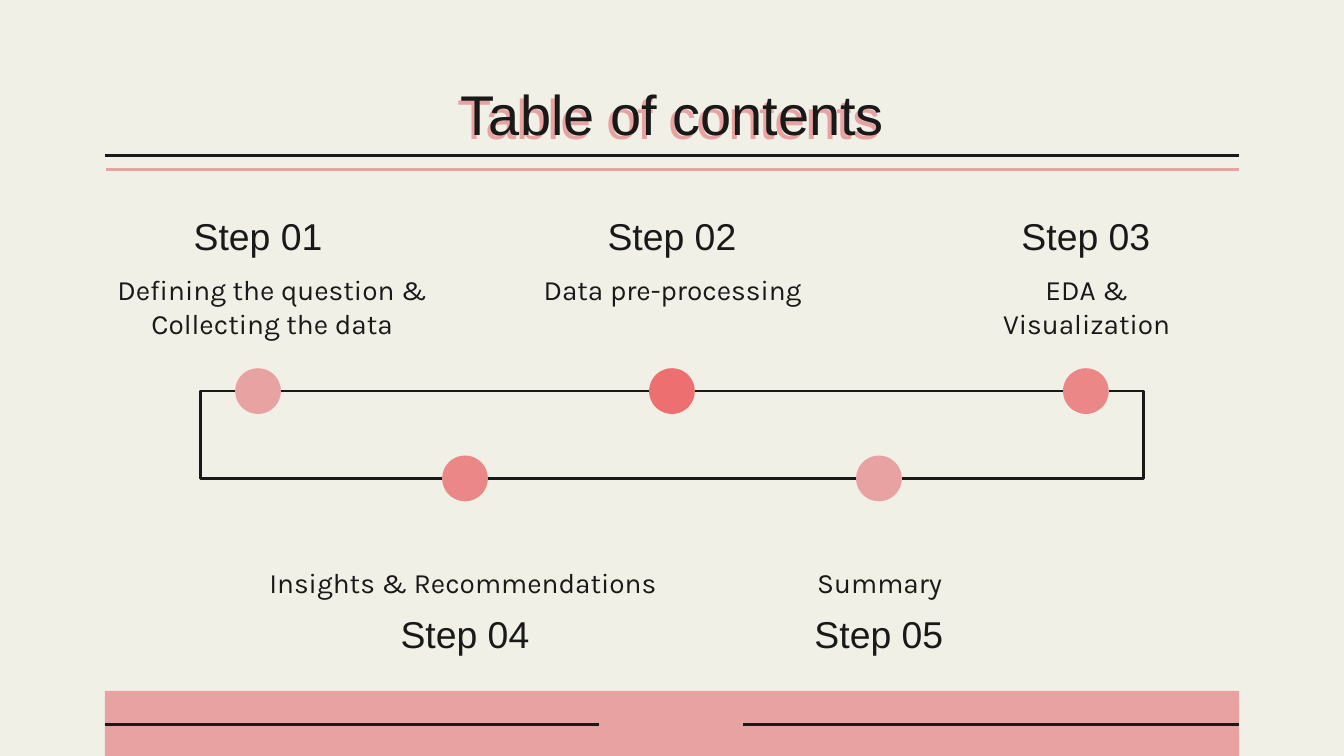
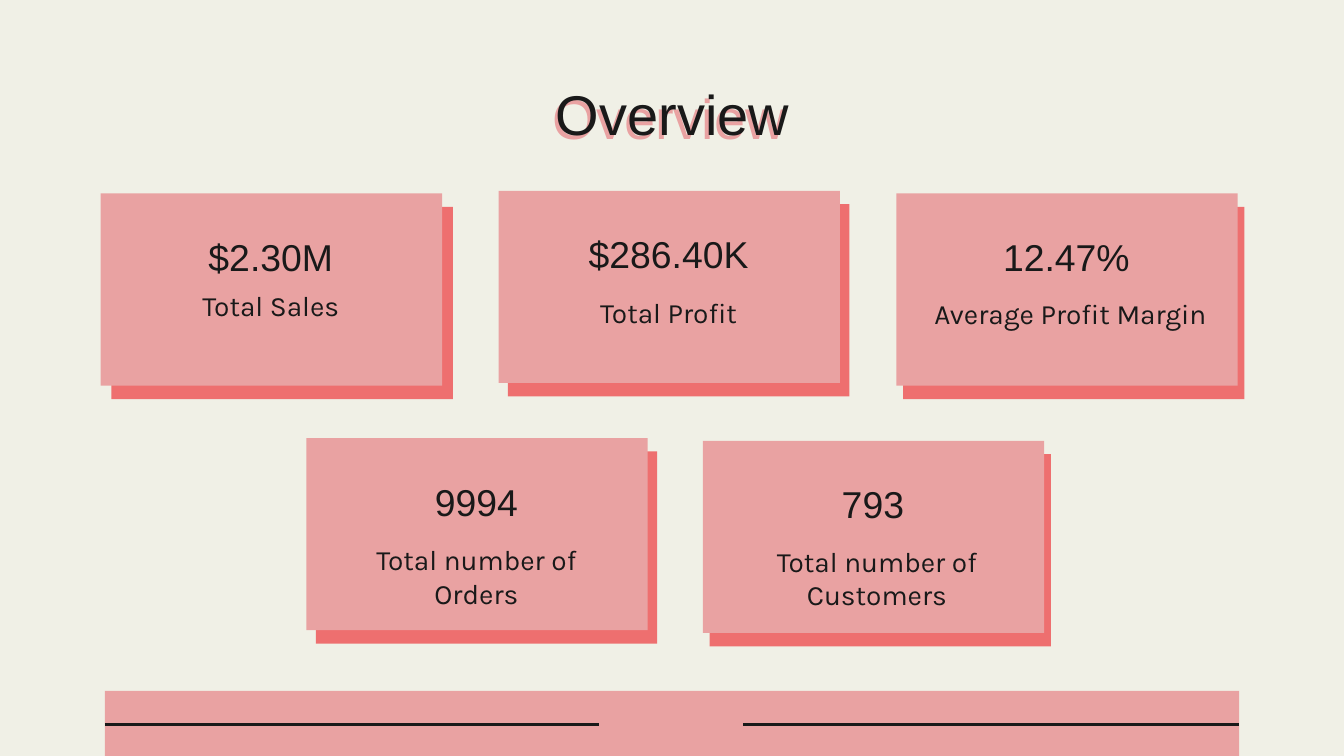
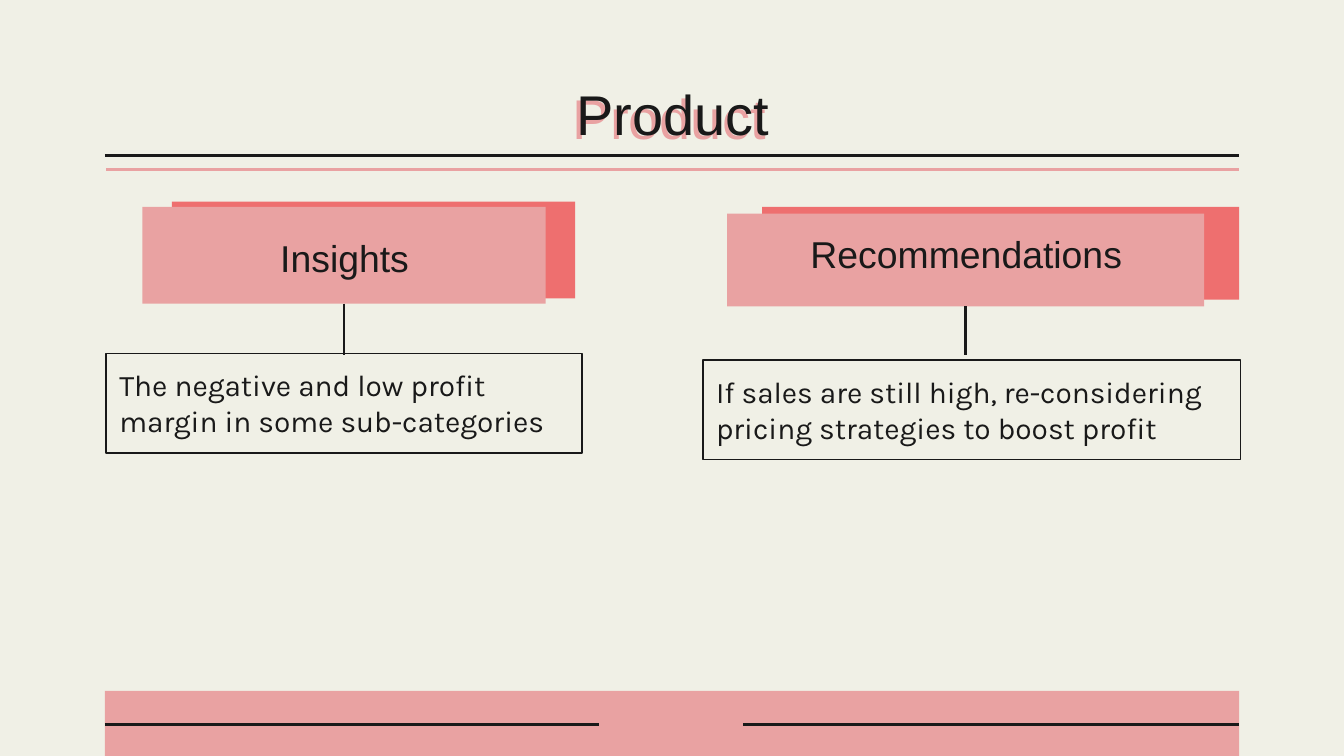
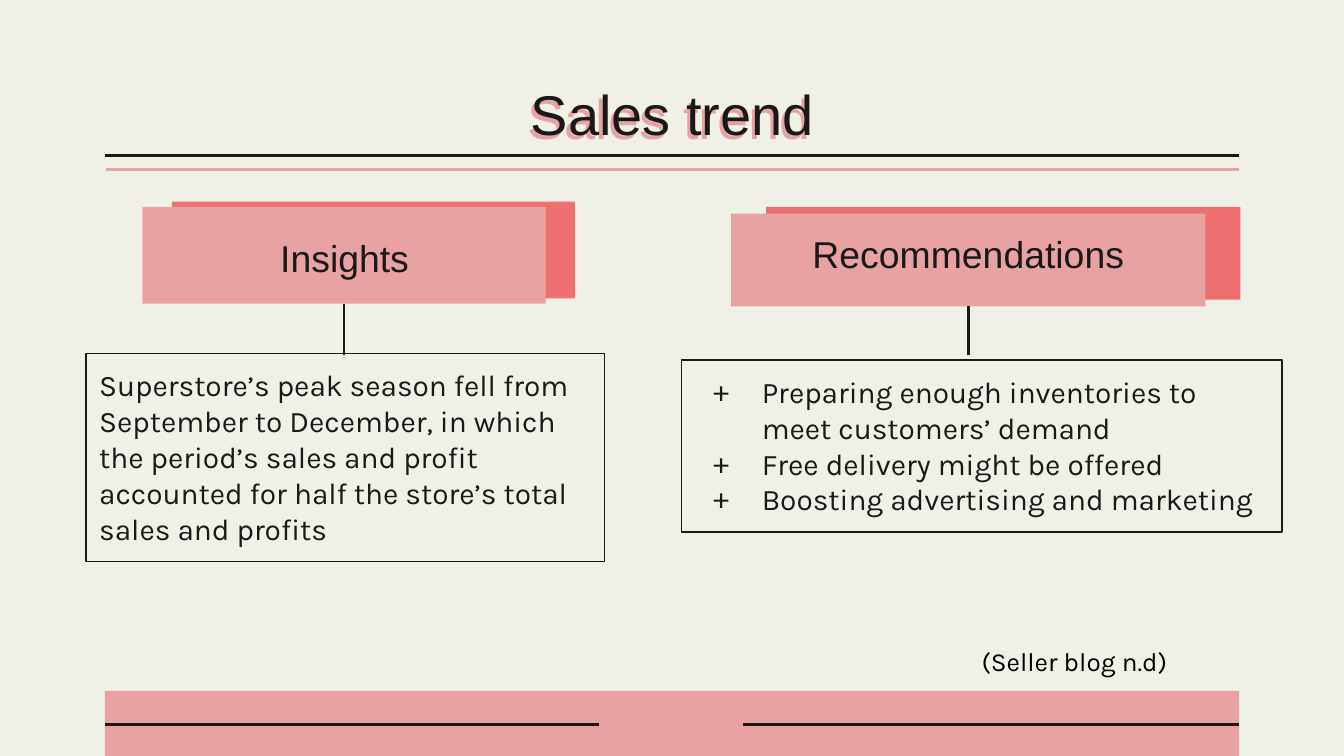
import pptx
import pptx.dml.color
import pptx.enum.shapes
import pptx.enum.text
import pptx.oxml
import pptx.oxml.ns
import pptx.util
import lxml.etree

Inches = pptx.util.Inches
RGBColor = pptx.dml.color.RGBColor
SHAPE = pptx.enum.shapes.MSO_SHAPE
CONNECTOR = pptx.enum.shapes.MSO_CONNECTOR
ALIGN = pptx.enum.text.PP_ALIGN
ANCHOR = pptx.enum.text.MSO_ANCHOR
qn = pptx.oxml.ns.qn

CREAM = RGBColor(0xF0, 0xF0, 0xE6)
INK = RGBColor(0x19, 0x19, 0x19)
BLACK = RGBColor(0, 0, 0)
PINK = RGBColor(0xE9, 0xA2, 0xA2)
CORAL = RGBColor(0xEE, 0x6F, 0x6F)
SALMON = RGBColor(0xEB, 0x87, 0x87)
HEADING_FONT, BODY_FONT = "Arial", "Karla"


def add_text(text, *, slide, at, size=15, font=BODY_FONT, color=INK, align=ALIGN.CENTER,
             anchor=ANCHOR.TOP, outline=None, space_after=0, bullet=None):
    box = slide.shapes.add_textbox(*[Inches(length) for length in at])
    if outline is not None:
        box.line.color.rgb = outline
        box.line.width = pptx.util.Pt(0.75)
    frame = box.text_frame
    frame.word_wrap = True
    frame.vertical_anchor = anchor
    frame.margin_left = frame.margin_right = Inches(0.1)
    frame.margin_top = frame.margin_bottom = Inches(0.1)
    frame.text = text
    for paragraph in frame.paragraphs:
        paragraph.alignment = align
        paragraph.space_after = pptx.util.Pt(space_after)
        paragraph.font.size = pptx.util.Pt(size)
        for run in paragraph.runs:
            run.font.size = pptx.util.Pt(size)
            run.font.name = font
            run.font.color.rgb = color
        if bullet:
            properties = paragraph._p.get_or_add_pPr()
            properties.set("marL", str(Inches(0.5)))
            properties.set("indent", str(Inches(-0.36)))
            mark_color = lxml.etree.SubElement(properties, qn("a:buClr"))
            lxml.etree.SubElement(mark_color, qn("a:srgbClr"), val=str(color))
            lxml.etree.SubElement(properties, qn("a:buFont"), typeface=font)
            lxml.etree.SubElement(properties, qn("a:buChar"), char=bullet)
    return box


def add_block(slide, at, fill, outline=SHAPE.RECTANGLE):
    block = slide.shapes.add_shape(outline, *[Inches(length) for length in at])
    block.shadow.inherit = False
    block.fill.solid()
    block.fill.fore_color.rgb = fill
    block.line.fill.background()


deck = pptx.Presentation()
deck.slide_width, deck.slide_height = Inches(10), Inches(5.625)

# Shared frame: background, footer band and shadowed title
slides = []
lines = []  # slide, x1, y1, x2, y2, colour, elbow bend (None when straight)
for title in ["Table of contents", "Overview", "Product", "Sales trend"]:
    slide = deck.slides.add_slide(deck.slide_layouts[6])
    slides.append(slide)
    slide.background.fill.solid()
    slide.background.fill.fore_color.rgb = CREAM
    add_block(slide, (0.78, 5.14, 8.44, 0.51), PINK)
    lines.append((slide, 0.78, 5.39, 4.46, 5.39, INK, None))
    lines.append((slide, 5.53, 5.39, 9.22, 5.39, INK, None))
    heading = add_text(title, slide=slide, at=(0.79, 0.49, 8.43, 0.63), size=30,
                       font=HEADING_FONT)
    heading.shadow.inherit = False
    effects = heading._element.spPr.find(qn("a:effectLst"))
    shadow = lxml.etree.SubElement(effects, qn("a:outerShdw"), dist="38100", dir="7680000",
                                   algn="bl", rotWithShape="0")
    lxml.etree.SubElement(shadow, qn("a:srgbClr"), val=str(PINK))
contents, overview, product, trend = slides

# Double rule under the title
for slide in (contents, product, trend):
    lines.append((slide, 0.78, 1.16, 9.22, 1.16, INK, None))
    lines.append((slide, 0.79, 1.26, 9.22, 1.26, PINK, None))

# Contents: loop of five steps, three above and two below
DOT, STEP_GAP, LABEL_WIDTH = 0.34, 1.54, 2.19
TOP_Y, BOTTOM_Y = 2.91, 3.56
steps = [  # column, upper row, dot colour, description, its left and width
    (0, True, PINK, "Defining the question & Collecting the data", 0.55, 2.95),
    (2, True, CORAL, "Data pre-processing", 3.91, LABEL_WIDTH),
    (4, True, SALMON, "EDA &\nVisualization", 6.99, LABEL_WIDTH),
    (1, False, SALMON, "Insights & Recommendations", 1.89, 3.11),
    (3, False, PINK, "Summary", 5.45, LABEL_WIDTH),
]
for number, (column, upper, color, description, left, width) in enumerate(steps, 1):
    center = 1.92 + column * STEP_GAP
    dot_y = TOP_Y if upper else BOTTOM_Y
    add_block(contents, (center - DOT / 2, dot_y - DOT / 2, DOT, DOT), color, SHAPE.OVAL)
    add_text(f"Step {number:02}", slide=contents, size=20, font=HEADING_FONT,
             at=(center - LABEL_WIDTH / 2, 1.46 if upper else 4.45, LABEL_WIDTH, 0.58),
             anchor=ANCHOR.MIDDLE if upper else ANCHOR.TOP)
    add_text(description, slide=contents, at=(left, 1.93 if upper else 3.82, width, 0.74),
             anchor=ANCHOR.TOP if upper else ANCHOR.BOTTOM)
lines += [
    (contents, 2.09, TOP_Y, 4.83, TOP_Y, INK, None),
    (contents, 5.17, TOP_Y, 7.91, TOP_Y, INK, None),
    (contents, 8.25, TOP_Y, 6.71, BOTTOM_Y, INK, -16900),
    (contents, 6.37, BOTTOM_Y, 3.63, BOTTOM_Y, INK, None),
    (contents, 3.29, BOTTOM_Y, 1.75, TOP_Y, INK, 116900),
]

# Overview: key figure cards
CARD_WIDTH, CARD_HEIGHT = 2.54, 1.43
cards = [  # left, top, shadow shift, value, label, label shift from the card
    (0.75, 1.44, 0.08, "$2.30M", "Total Sales", 0.09, 0.61),
    (3.71, 1.42, 0.07, "$286.40K", "Total Profit", 0.09, 0.68),
    (6.67, 1.44, 0.05, "12.47%", "Average Profit Margin", 0.12, 0.67),
    (2.28, 3.26, 0.07, "9994", "Total number of Orders", 0.09, 0.68),
    (5.23, 3.28, 0.05, "793", "Total number of Customers", 0.12, 0.67),
]
for left, top, shift, value, label, label_x, label_y in cards:
    add_block(overview, (left + shift, top + 0.1, CARD_WIDTH, CARD_HEIGHT), CORAL)
    add_block(overview, (left, top, CARD_WIDTH, CARD_HEIGHT), PINK)
    add_text(value, slide=overview, at=(left + 0.09, top + 0.19, 2.35, 0.56), size=20,
             font=HEADING_FONT, anchor=ANCHOR.MIDDLE)
    add_text(label, slide=overview, at=(left + label_x, top + label_y, 2.35, 0.67))

# Product and Sales trend: header, stem and boxed finding on each side
findings = [  # slide, header, header place, shadow shift, caption place, finding, its place, bullet
    (product, "Insights", (1.06, 1.54, 3, 0.72), (0.22, -0.04), (1.15, 1.63, 2.83, 0.55),
     "The negative and low profit margin in some sub-categories",
     (0.79, 2.63, 3.54, 0.74), None),
    (product, "Recommendations", (5.41, 1.59, 3.55, 0.69), (0.26, -0.05),
     (5.33, 1.63, 3.72, 0.52),
     "If sales are still high, re-considering pricing strategies to boost profit",
     (5.23, 2.68, 4, 0.74), None),
    (trend, "Insights", (1.06, 1.54, 3, 0.72), (0.22, -0.04), (1.15, 1.63, 2.83, 0.55),
     "Superstore’s peak season fell from September to December, in which the period’s "
     "sales and profit accounted for half the store’s total sales and profits",
     (0.64, 2.63, 3.86, 1.55), None),
    (trend, "Recommendations", (5.44, 1.59, 3.53, 0.69), (0.26, -0.05),
     (5.36, 1.63, 3.69, 0.52),
     "Preparing enough inventories to meet customers’ demand\n"
     "Free delivery might be offered\nBoosting advertising and marketing",
     (5.07, 2.68, 4.47, 1.28), "+"),
]
for slide, header, place, shift, caption_at, finding, finding_at, bullet in findings:
    left, top, width, height = place
    add_block(slide, (left + shift[0], top + shift[1], width, height), CORAL)
    add_block(slide, place, PINK)
    add_text(header, slide=slide, at=caption_at, size=20, font=HEADING_FONT,
             anchor=ANCHOR.BOTTOM)
    stem_x = left + width / 2
    lines.append((slide, stem_x, top + height, stem_x, 2.64, INK, None))
    add_text(finding, slide=slide, at=finding_at, size=16, align=ALIGN.LEFT, outline=INK,
             space_after=0 if bullet else 10, bullet=bullet)

# Sales trend: citation
add_text("(Seller blog n.d)", slide=trend, at=(6.67, 4.7, 2.65, 0.44), size=14, color=BLACK)

# All rules, stems and loop segments
for slide, x1, y1, x2, y2, color, bend in lines:
    kind = CONNECTOR.STRAIGHT if bend is None else CONNECTOR.ELBOW
    line = slide.shapes.add_connector(kind, Inches(x1), Inches(y1), Inches(x2), Inches(y2))
    line.line.color.rgb = color
    line.line.width = pptx.util.Pt(1.5)
    properties = line._element.spPr
    lxml.etree.SubElement(properties, qn("a:effectLst"))
    if bend is not None:
        adjustments = properties.find(qn("a:prstGeom")).find(qn("a:avLst"))
        lxml.etree.SubElement(adjustments, qn("a:gd"), name="adj1", fmla=f"val {bend}")

deck.save("out.pptx")
